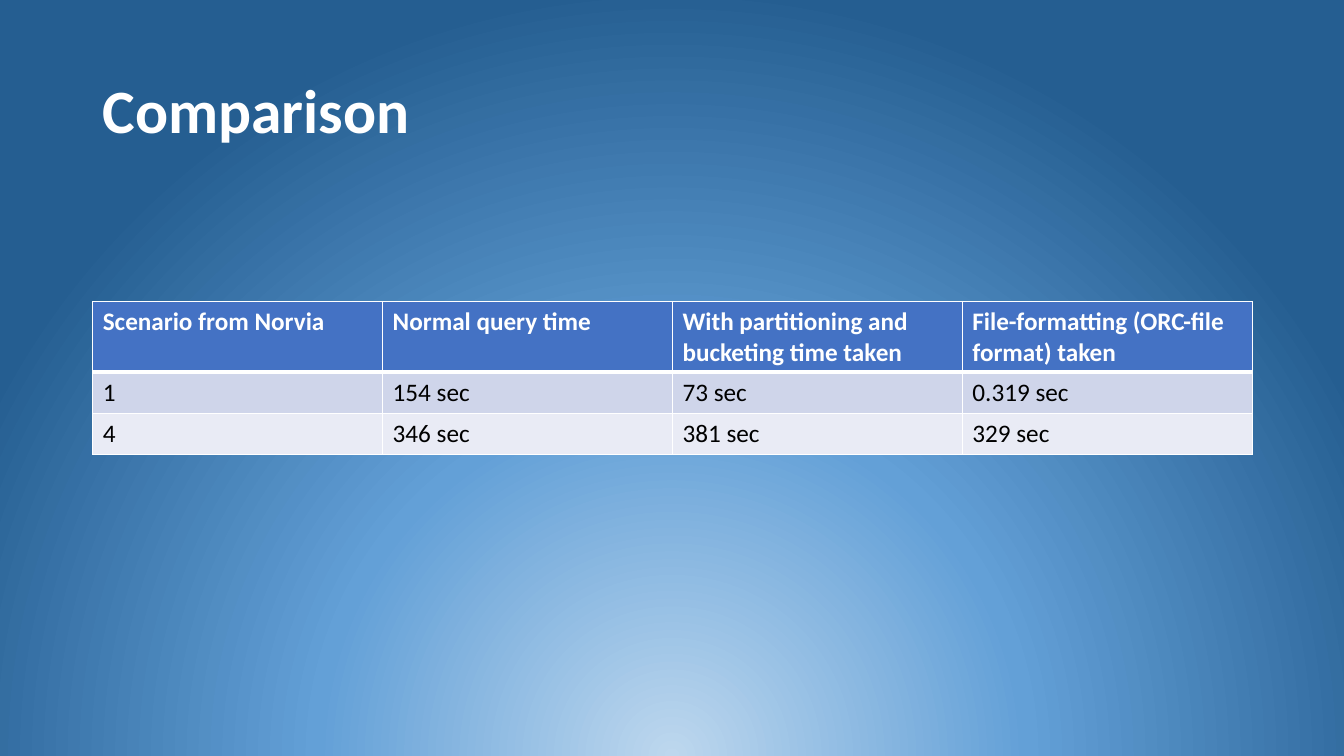
import pptx
import pptx.dml.color
import pptx.enum.text
import pptx.oxml
import pptx.oxml.ns
import pptx.util

RGBColor = pptx.dml.color.RGBColor
WHITE = RGBColor(0xFF, 0xFF, 0xFF)
BLACK = RGBColor(0x00, 0x00, 0x00)
HEADER_BLUE = RGBColor(0x44, 0x72, 0xC4)
BAND_DARK = RGBColor(0xCF, 0xD5, 0xEA)
BAND_LIGHT = RGBColor(0xE9, 0xEB, 0xF5)
GLOW_STOPS = [
    (0, RGBColor(0xBD, 0xD7, 0xEE)),
    (46, RGBColor(0x63, 0xA0, 0xD7)),
    (100, RGBColor(0x25, 0x5E, 0x91)),
]

TITLE_FORMAT = {"size": pptx.util.Pt(44), "bold": True}
HEADER_FORMAT = {"size": pptx.util.Pt(18), "bold": True}
BODY_FORMAT = {"size": pptx.util.Pt(18), "bold": False}

SCENARIO_TIMES = [
    ["Scenario from Norvia", "Normal query time",
     "With partitioning and bucketing time taken",
     "File-formatting (ORC-file format) taken"],
    ["1", "154 sec", "73 sec", "0.319 sec"],
    ["4", "346 sec", "381 sec", "329 sec"],
]


class ComparisonSlide:
    """Holds the slide, its four-column grid and its text style."""

    font_name = "Calibri"
    left = pptx.util.Inches(0.92)
    width = pptx.util.Inches(11.5)
    columns = 4

    def __init__(self, deck):
        self.slide = deck.slides.add_slide(deck.slide_layouts[6])
        self.column = self.width // self.columns

    def background(self, stops):
        """Radial glow centred below the bottom edge."""
        self.slide.background.fill.gradient()
        gradient = self.slide.element.find(".//" + pptx.oxml.ns.qn("a:gradFill"))
        stop_xml = "".join(
            f'<a:gs pos="{share * 1000}"><a:srgbClr val="{color}"/></a:gs>'
            for share, color in stops)
        glow = pptx.oxml.parse_xml(
            f'<a:gradFill {pptx.oxml.ns.nsdecls("a")} rotWithShape="1">'
            f'<a:gsLst>{stop_xml}</a:gsLst><a:path path="circle">'
            '<a:fillToRect l="50000" t="130000" r="50000" b="-30000"/>'
            '</a:path></a:gradFill>')
        gradient.getparent().replace(gradient, glow)

    def add_text(self, frame, text, color, font_format):
        paragraph = frame.paragraphs[0]
        run = paragraph.add_run()
        run.text = text
        run.font.name = self.font_name
        run.font.color.rgb = color
        for attribute, value in font_format.items():
            setattr(run.font, attribute, value)
        return paragraph

    def title(self, text, top, height):
        frame = self.slide.shapes.add_textbox(
            self.left, top, self.width, height).text_frame
        frame.word_wrap = True
        frame.vertical_anchor = pptx.enum.text.MSO_ANCHOR.MIDDLE
        self.add_text(frame, text, WHITE, TITLE_FORMAT).line_spacing = 0.9

    def borders(self, cell, widths):
        properties = cell._tc.get_or_add_tcPr()
        for position, (side, points) in enumerate(widths.items()):
            properties.insert(position, pptx.oxml.parse_xml(
                f'<a:ln{side} {pptx.oxml.ns.nsdecls("a")} w="{pptx.util.Pt(points)}">'
                f'<a:solidFill><a:srgbClr val="{WHITE}"/></a:solidFill></a:ln{side}>'))

    def table(self, rows, top, row_heights):
        table = self.slide.shapes.add_table(
            len(rows), self.columns, self.left, top, self.width, sum(row_heights)).table
        for column in table.columns:
            column.width = self.column
        for index, (texts, height) in enumerate(zip(rows, row_heights)):
            table.rows[index].height = height
            # Header, then alternating bands
            if index == 0:
                fill, color, font_format = HEADER_BLUE, WHITE, HEADER_FORMAT
            else:
                fill = BAND_DARK if index % 2 else BAND_LIGHT
                color, font_format = BLACK, BODY_FORMAT
            widths = {"L": 1, "R": 1, "T": 3 if index == 1 else 1,
                      "B": 3 if index == 0 else 1}
            for cell, text in zip(table.rows[index].cells, texts):
                self.add_text(cell.text_frame, text, color, font_format)
                cell.fill.solid()
                cell.fill.fore_color.rgb = fill
                self.borders(cell, widths)


def main():
    deck = pptx.Presentation()
    deck.slide_width = pptx.util.Inches(13.33)
    deck.slide_height = pptx.util.Inches(7.5)
    comparison = ComparisonSlide(deck)

    # Backdrop and heading
    comparison.background(GLOW_STOPS)
    comparison.title("Comparison", pptx.util.Inches(0.4), pptx.util.Inches(1.45))

    # Query times
    header_height, body_height = pptx.util.Inches(0.7), pptx.util.Inches(0.41)
    comparison.table(SCENARIO_TIMES, pptx.util.Inches(2.99),
                     [header_height, body_height, body_height])

    deck.save("out.pptx")


if __name__ == "__main__":
    main()
